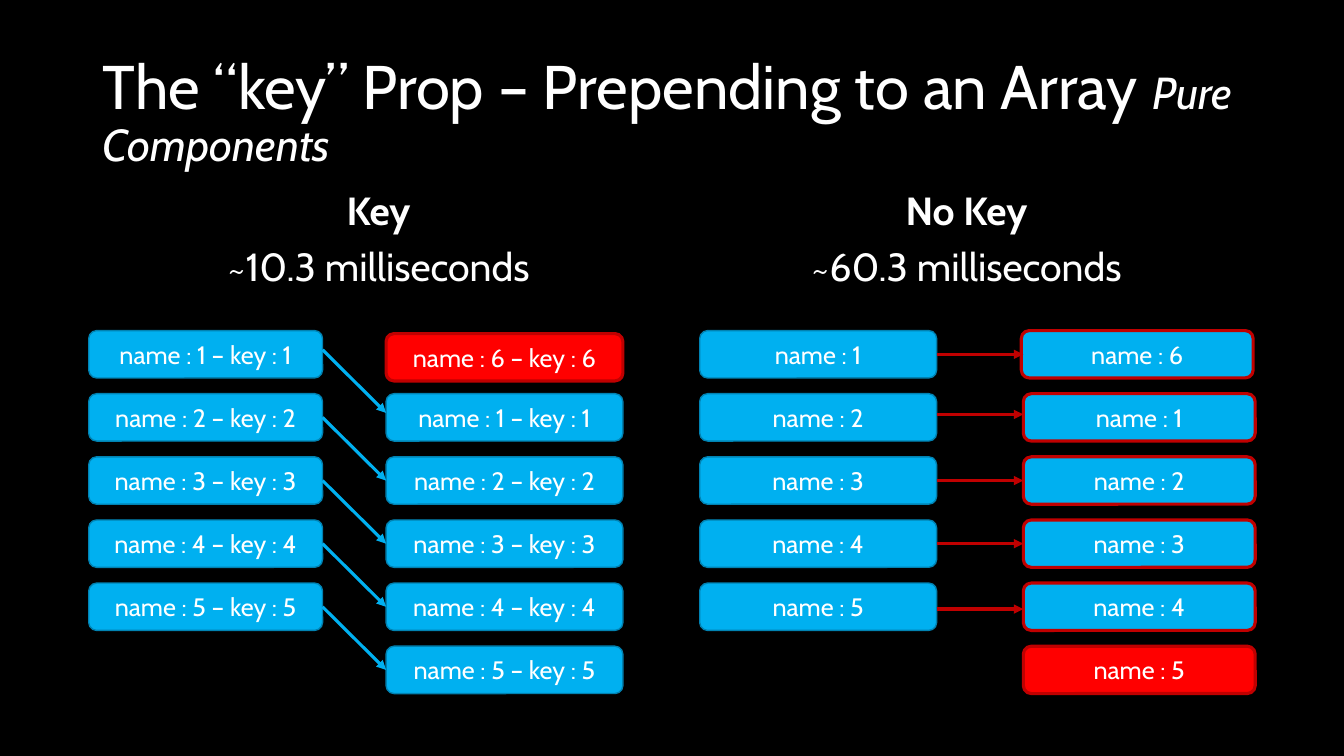
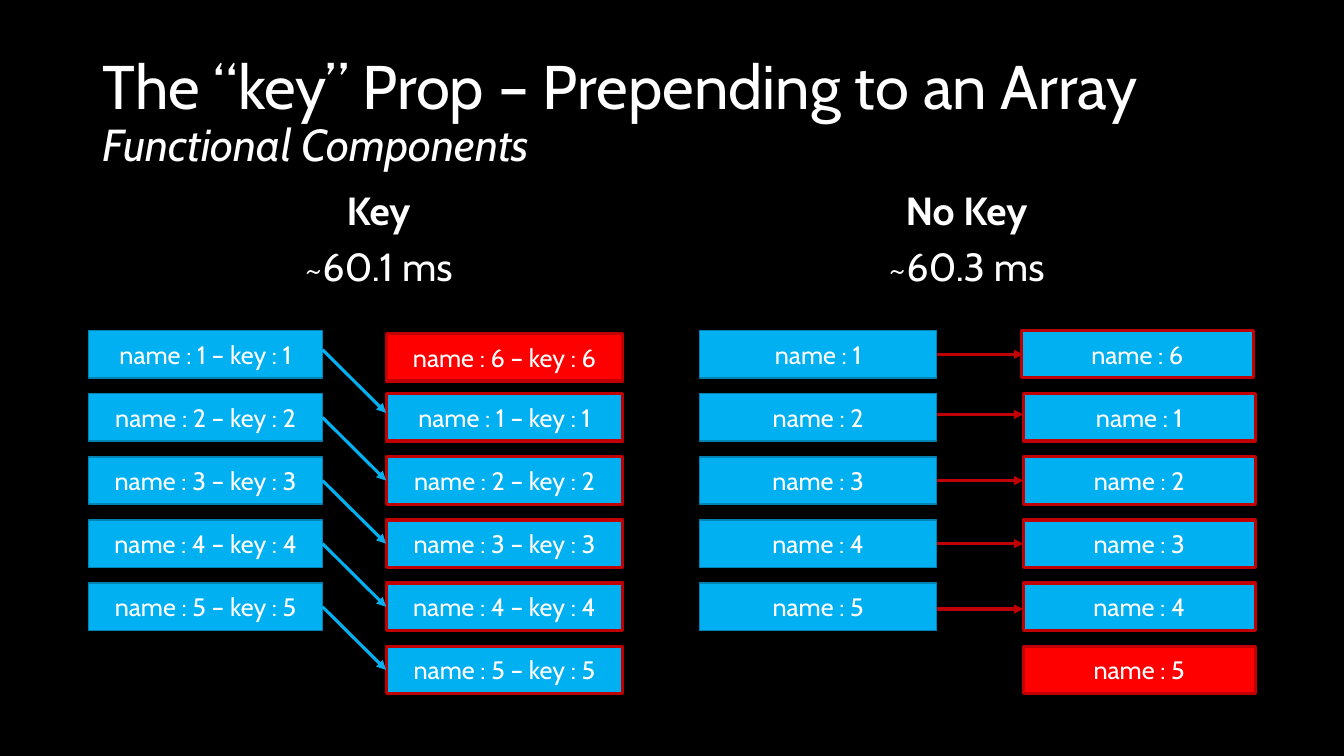
from pptx import Presentation
from pptx.dml.color import RGBColor as Color
from pptx.enum.shapes import MSO_CONNECTOR as Connector, MSO_SHAPE as Preset
from pptx.enum.text import MSO_ANCHOR as Anchor, PP_ALIGN as Align
from pptx.oxml.ns import qn
from pptx.util import Inches, Pt
from lxml.etree import SubElement

COLORS = {
    "background": "000000", "text": "FFFFFF", "item": "00B0F0",
    "edge": "0082B2", "changed": "C00000", "added": "FF0000",
}
FORMATS = {
    "title": {"size": Pt(44)},
    "subtitle": {"size": Pt(32), "italic": True},
    "heading": {"size": Pt(28), "bold": True},
    "time": {"size": Pt(28)},
    "item": {"size": Pt(18)},
}
FONT = "Cabin"
FIRST_ROW, ROW_STEP, ROW_HEIGHT = 43.73, 8.35, 6.27
COLUMNS = {
    "key before": (6.6, 17.4),
    "key after": (28.73, 17.62),
    "plain before": (52.06, 17.63),
    "plain after": (76.14, 17.25),
}


class Deck:
    def __init__(self):
        self.presentation = Presentation()
        self.presentation.slide_width = Inches(13.33)
        self.presentation.slide_height = Inches(7.5)
        self.slide = None

    def x(self, percent):
        return round(self.presentation.slide_width * percent / 100)

    def y(self, percent):
        return round(self.presentation.slide_height * percent / 100)

    def box(self, left, top, width, height):
        return self.x(left), self.y(top), self.x(width), self.y(height)

    def new_slide(self):
        self.slide = self.presentation.slides.add_slide(self.presentation.slide_layouts[6])
        fill = self.slide.background.fill
        fill.solid()
        fill.fore_color.rgb = Color.from_string(COLORS["background"])

    def run(self, paragraph, text, style):
        run = paragraph.add_run()
        run.text = text
        for name, value in {"name": FONT, **FORMATS[style]}.items():
            setattr(run.font, name, value)
        run.font.color.rgb = Color.from_string(COLORS["text"])

    def text(self, area, paragraphs, anchor=Anchor.TOP, **layout):
        frame = self.slide.shapes.add_textbox(*self.box(*area)).text_frame
        frame.word_wrap = True
        frame.vertical_anchor = anchor
        for index, runs in enumerate(paragraphs):
            paragraph = frame.add_paragraph() if index else frame.paragraphs[0]
            for name, value in {"line_spacing": 0.9, **layout}.items():
                setattr(paragraph, name, value)
            for text, style in runs:
                self.run(paragraph, text, style)

    def outline(self, line, color, width):
        line.color.rgb = Color.from_string(COLORS[color])
        line.width = Pt(width)

    def item(self, column, row, text, preset, fill="item", changed=False, nudge=(0, 0)):
        left, width = COLUMNS[column]
        top = FIRST_ROW + row * ROW_STEP
        area = self.box(left + nudge[0], top + nudge[1], width, ROW_HEIGHT)
        shape = self.slide.shapes.add_shape(preset, *area)
        shape.shadow.inherit = False
        shape.fill.solid()
        shape.fill.fore_color.rgb = Color.from_string(COLORS[fill])
        self.outline(shape.line, *(("changed", 2.25) if changed else ("edge", 1)))
        shape.text_frame.vertical_anchor = Anchor.MIDDLE
        paragraph = shape.text_frame.paragraphs[0]
        paragraph.alignment = Align.CENTER
        self.run(paragraph, text, "item")

    def arrow(self, before, after, start_row, end_row, color, nudge=0):
        left, width = COLUMNS[before]
        start, end = (
            self.y(FIRST_ROW + row * ROW_STEP + ROW_HEIGHT / 2 + nudge)
            for row in (start_row, end_row)
        )
        connector = self.slide.shapes.add_connector(
            Connector.STRAIGHT, self.x(left + width), start, self.x(COLUMNS[after][0]), end)
        self.outline(connector.line, color, 2.25)
        SubElement(connector.line._get_or_add_ln(), qn("a:tailEnd"), type="triangle")
        SubElement(connector._element.spPr, qn("a:effectLst"))

    def comparison(self, subtitle, times, preset, key_changed):
        self.new_slide()
        title = [("The “key” Prop – Prepending to an Array ", "title"), (subtitle, "subtitle")]
        self.text((6.9, 5.33, 86.27, 19.33), [title], Anchor.MIDDLE)
        for left, heading, time in zip((6.9, 50.64), ("Key", "No Key"), times):
            self.text((left, 24.67, 42.54, 60.67), [[(heading, "heading")], [(time, "time")]],
                      alignment=Align.CENTER, space_before=Pt(10))
        for row in range(5):
            number = row + 1
            plain = f"name : {number}"
            keyed = f"{plain} – key : {number}"
            self.item("key before", row, keyed, preset)
            self.item("plain before", row, plain, preset)
            self.item("key after", number, keyed, preset, changed=key_changed)
            self.item("plain after", number, plain, preset,
                      "added" if number == 5 else "item", True)
        self.item("key after", 0, "name : 6 – key : 6", preset, "added", True, (0, 0.4))
        self.item("plain after", 0, "name : 6", preset, changed=True, nudge=(-0.15, 0))
        for row, (key_nudge, plain_nudge) in enumerate(
                [(-0.6, 0), (0, -0.4), (0, 0), (0, 0), (0, 0.3)]):
            self.arrow("key before", "key after", row, row + 1, "item", key_nudge)
            self.arrow("plain before", "plain after", row, row, "changed", plain_nudge)


deck = Deck()
deck.comparison("Pure Components", ("~10.3 milliseconds", "~60.3 milliseconds"),
                Preset.ROUNDED_RECTANGLE, False)
deck.comparison("Functional Components", ("~60.1 ms", "~60.3 ms"), Preset.RECTANGLE, True)
deck.presentation.save("out.pptx")
